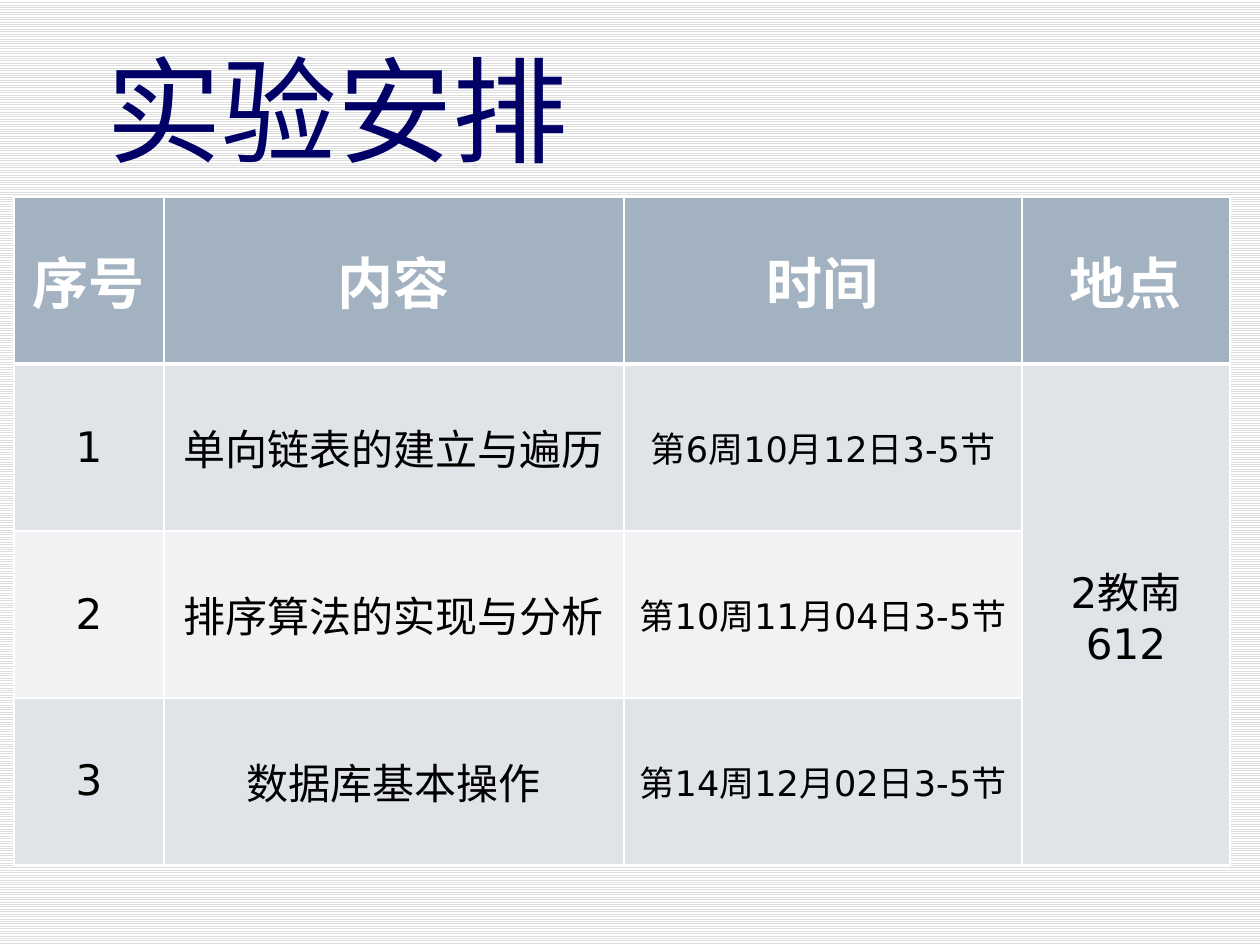
from dataclasses import dataclass

import pptx
import pptx.dml.color
import pptx.enum.dml
import pptx.enum.text
import pptx.oxml
import pptx.oxml.ns
import pptx.util

EMU_PER_PX = 914400 / 126


@dataclass(frozen=True)
class Theme:
    font: str = "DejaVu Sans"
    title: str = "000066"
    header_fill: str = "A3B2C1"
    odd_fill: str = "E0E4E9"
    even_fill: str = "F0F2F4"
    white: str = "FFFFFF"
    black: str = "000000"
    stripe: str = "DDDDDD"
    title_size: int = 66
    header_size: int = 32
    body_size: int = 24
    time_size: int = 20
    thin_border: int = 1
    thick_border: int = 3


@dataclass(frozen=True)
class Experiment:
    number: str
    content: str
    time: str
    place: str = ""


THEME = Theme()
HEADINGS = ("序号", "内容", "时间", "地点")
EXPERIMENTS = (
    Experiment("1", "单向链表的建立与遍历", "第6周10月12日3-5节", "2教南612"),
    Experiment("2", "排序算法的实现与分析", "第10周11月04日3-5节"),
    Experiment("3", "数据库基本操作", "第14周12月02日3-5节"),
)
COLUMN_WIDTHS = (150, 460, 398, 208)
ROW_HEIGHT = 167


def px(length: int) -> pptx.util.Emu:
    return pptx.util.Emu(round(length * EMU_PER_PX))


def rgb(value: str) -> pptx.dml.color.RGBColor:
    return pptx.dml.color.RGBColor.from_string(value)


def add_run(paragraph, text: str, size: int, color: str, bold: bool = False) -> None:
    run = paragraph.add_run()
    run.text = text
    run.font.name = THEME.font
    run.font.size = pptx.util.Pt(size)
    run.font.bold = bold
    run.font.color.rgb = rgb(color)


def set_borders(cell, top: int, bottom: int) -> None:
    """Draw white cell borders; top and bottom widths are in points."""
    properties = cell._tc.get_or_add_tcPr()
    widths = {"lnL": THEME.thin_border, "lnR": THEME.thin_border, "lnT": top, "lnB": bottom}
    for index, (side, width) in enumerate(widths.items()):
        line = pptx.oxml.parse_xml(
            f'<a:{side} {pptx.oxml.ns.nsdecls("a")} w="{pptx.util.Pt(width)}">'
            f'<a:solidFill><a:srgbClr val="{THEME.white}"/></a:solidFill></a:{side}>'
        )
        properties.insert(index, line)


def fill_cell(cell, text: str, fill: str, size: int, color: str, bold: bool = False) -> None:
    cell.fill.solid()
    cell.fill.fore_color.rgb = rgb(fill)
    cell.vertical_anchor = pptx.enum.text.MSO_ANCHOR.MIDDLE
    paragraph = cell.text_frame.paragraphs[0]
    paragraph.alignment = pptx.enum.text.PP_ALIGN.CENTER
    if text:
        add_run(paragraph, text, size, color, bold)


def set_background(slide) -> None:
    fill = slide.background.fill
    fill.patterned()
    fill.pattern = pptx.enum.dml.MSO_PATTERN.LIGHT_HORIZONTAL
    fill.fore_color.rgb = rgb(THEME.stripe)
    fill.back_color.rgb = rgb(THEME.white)


def add_title(slide) -> None:
    frame = slide.shapes.add_textbox(px(94), px(49), px(1071), px(189)).text_frame
    frame.word_wrap = True
    frame.vertical_anchor = pptx.enum.text.MSO_ANCHOR.TOP
    paragraph = frame.paragraphs[0]
    paragraph.line_spacing = 0.9
    add_run(paragraph, "实验安排", THEME.title_size, THEME.title)


def add_schedule(slide) -> None:
    row_count = len(EXPERIMENTS) + 1
    table = slide.shapes.add_table(
        row_count, len(HEADINGS), px(14), px(197),
        px(sum(COLUMN_WIDTHS)), px(ROW_HEIGHT * row_count),
    ).table
    for column, width in zip(table.columns, COLUMN_WIDTHS):
        column.width = px(width)
    for row in table.rows:
        row.height = px(ROW_HEIGHT)

    for column, heading in enumerate(HEADINGS):
        cell = table.cell(0, column)
        fill_cell(cell, heading, THEME.header_fill, THEME.header_size, THEME.white, bold=True)
        set_borders(cell, THEME.thin_border, THEME.thick_border)

    for row, experiment in enumerate(EXPERIMENTS, start=1):
        fill = THEME.odd_fill if row % 2 else THEME.even_fill
        top = THEME.thick_border if row == 1 else THEME.thin_border
        values = (experiment.number, experiment.content, experiment.time, experiment.place)
        for column, value in enumerate(values):
            cell = table.cell(row, column)
            size = THEME.time_size if HEADINGS[column] == "时间" else THEME.body_size
            fill_cell(cell, value, fill, size, THEME.black)
            set_borders(cell, top, THEME.thin_border)

    place_column = HEADINGS.index("地点")
    table.cell(1, place_column).merge(table.cell(row_count - 1, place_column))


def main() -> None:
    presentation = pptx.Presentation()
    presentation.slide_width = px(1260)
    presentation.slide_height = px(945)
    slide = presentation.slides.add_slide(presentation.slide_layouts[6])
    set_background(slide)
    add_title(slide)
    add_schedule(slide)
    presentation.save("out.pptx")


if __name__ == "__main__":
    main()
